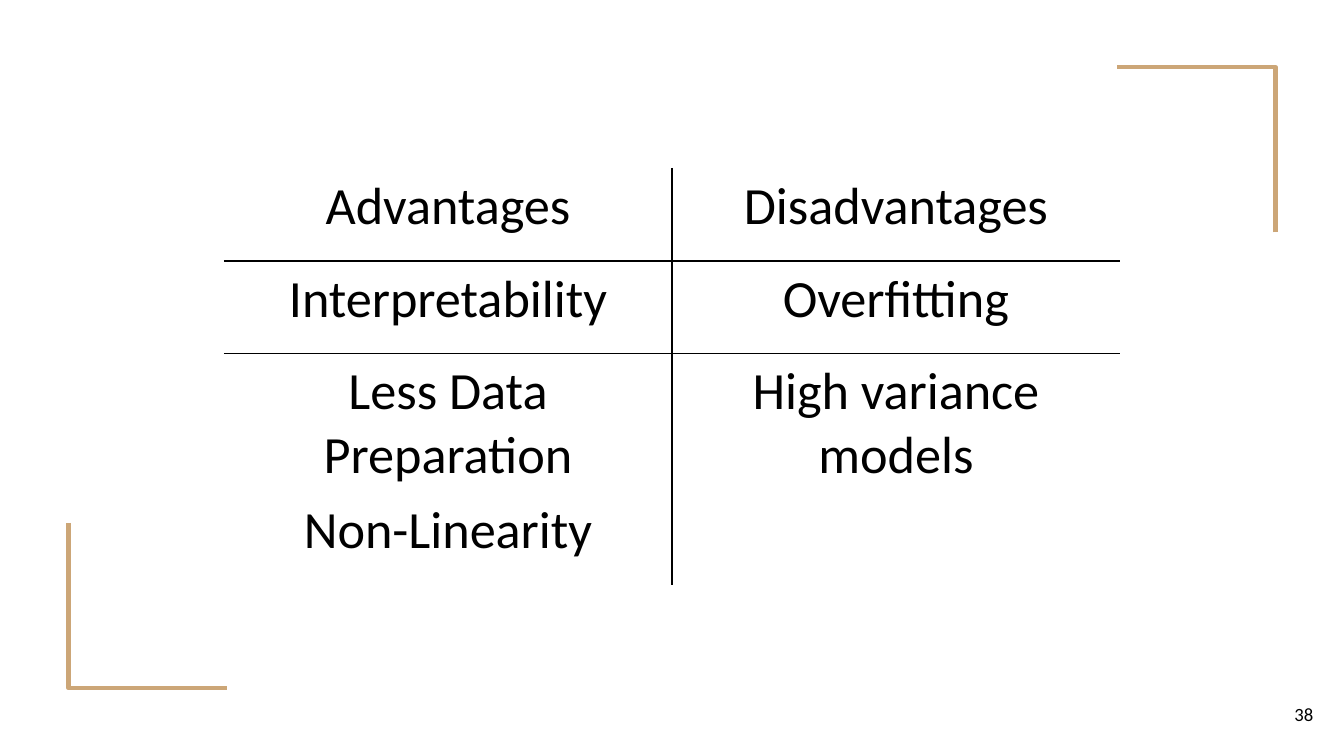
import pptx
import pptx.util
import pptx.dml.color
import pptx.enum.text
import pptx.oxml
import pptx.oxml.ns
from pptx.util import Pt

HUES = {"ink": "000000", "tan": "CCA677"}
FONT = "Calibri"
PLAIN = "{2D5ABB26-0587-4C30-8999-92F81FD0307C}"  # no style, no grid
ROWS = [
    ("Advantages", "Disadvantages"),
    ("Interpretability", "Overfitting"),
    ("Less Data Preparation", "High variance models"),
    ("Non-Linearity", ""),
]


def hue(name):
    return pptx.dml.color.RGBColor.from_string(HUES[name])


def style(frame, size, align):
    for para in frame.paragraphs:
        para.alignment = align
        para.font.size = Pt(size)
        para.font.name = FONT
        para.font.color.rgb = hue("ink")


def edge(cell, side):
    """Draw one black border; call in the order L, R, T, B."""
    cell._tc.get_or_add_tcPr().append(pptx.oxml.parse_xml(
        f'<a:ln{side} {pptx.oxml.ns.nsdecls("a")} w="{Pt(1)}"><a:solidFill>'
        f'<a:srgbClr val="{HUES["ink"]}"/></a:solidFill></a:ln{side}>'))


def corner(slide, x, y, w, h, turn):
    """Open bracket: top right, or bottom left when turned."""
    pts = [(x + w, y + h), (x + w, y), (x, y)]
    if turn:
        pts = [(x, y), (x, y + h), (x + w, y + h)]
    pts = [(Pt(a), Pt(b)) for a, b in pts]
    form = slide.shapes.build_freeform(*pts[0])
    form.add_line_segments(pts[1:], close=False)
    shape = form.convert_to_shape()
    shape.shadow.inherit = False
    shape.fill.background()
    shape.line.color.rgb = hue("tan")
    shape.line.width = Pt(2.25)


def number(slide, x, y, w, h, text):
    """Page number in the lower right corner."""
    frame = slide.shapes.add_textbox(Pt(x), Pt(y), Pt(w), Pt(h)).text_frame
    frame.word_wrap = True
    frame.vertical_anchor = pptx.enum.text.MSO_ANCHOR.MIDDLE
    frame.margin_left = frame.margin_right = Pt(7.2)
    frame.margin_top = frame.margin_bottom = Pt(7.2)
    frame.text = text
    style(frame, 10, pptx.enum.text.PP_ALIGN.RIGHT)


def chart(slide, x, y, w, h):
    """T-shaped table of pros and cons."""
    table = slide.shapes.add_table(
        len(ROWS), 2, Pt(x), Pt(y), Pt(w), Pt(h)).table
    table.first_row = table.horz_banding = False
    table._tbl.tblPr.find(pptx.oxml.ns.qn("a:tableStyleId")).text = PLAIN
    for i, row in enumerate(ROWS):
        for j, text in enumerate(row):
            cell = table.cell(i, j)
            cell.text = text
            style(cell.text_frame, 28, pptx.enum.text.PP_ALIGN.CENTER)
            # Upright between the columns, rule under the heads
            edge(cell, "L" if j else "R")
            if i < 2:
                edge(cell, "T" if i else "B")
            cell.fill.background()


def main():
    deck = pptx.Presentation()
    deck.slide_width, deck.slide_height = Pt(720), Pt(405)
    slide = deck.slides.add_slide(deck.slide_layouts[6])
    corner(slide, 598.3, 36, 85, 88.5, False)
    corner(slide, 36.7, 280.2, 85, 88.5, True)
    number(slide, 667.4, 367.2, 43.2, 31, "38")
    chart(slide, 120, 90, 480, 198.8)
    deck.save("out.pptx")


if __name__ == "__main__":
    main()
